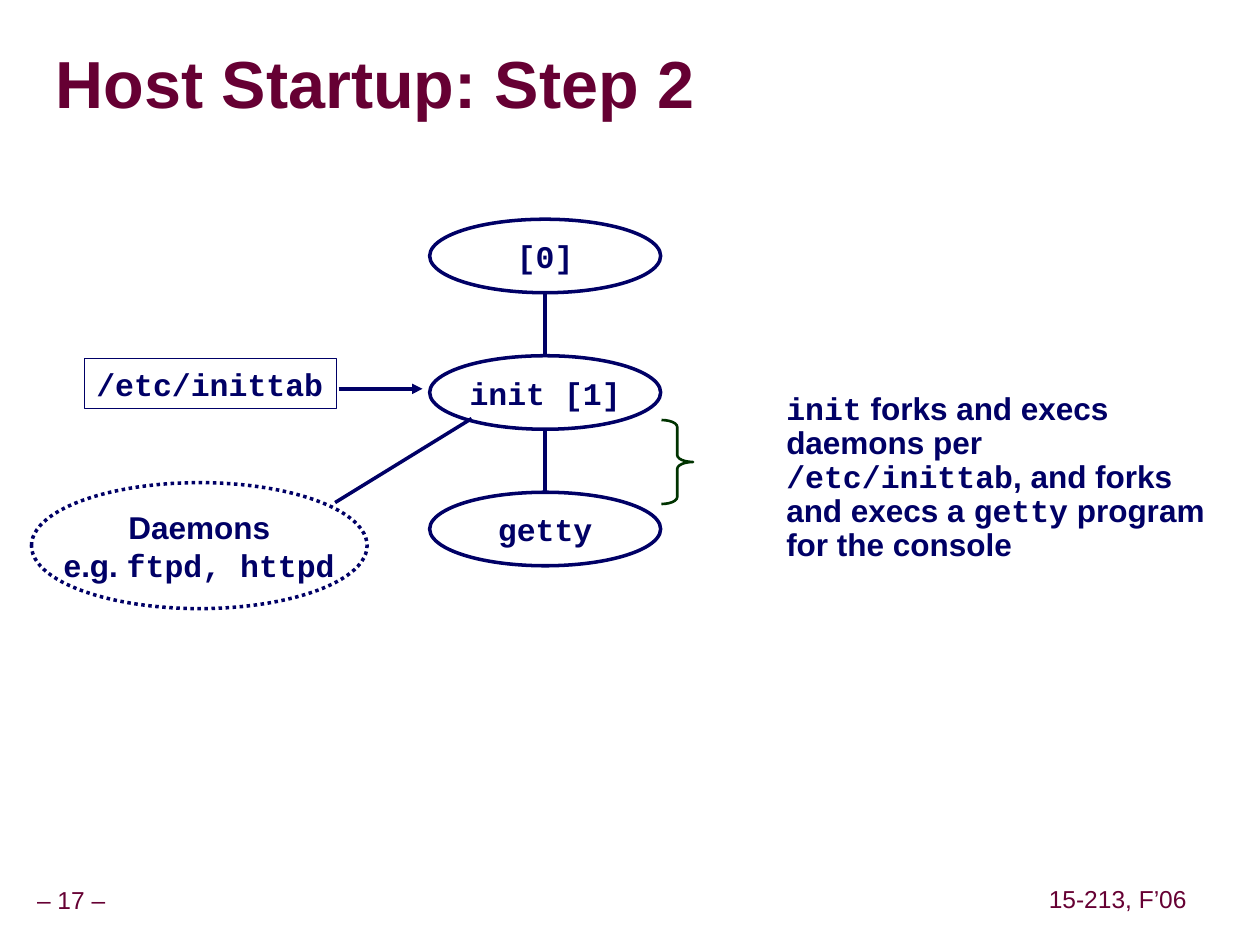
from pptx import Presentation
from pptx.dml.color import RGBColor
from pptx.enum.dml import MSO_LINE
from pptx.enum.shapes import MSO_CONNECTOR, MSO_SHAPE
from pptx.enum.text import MSO_ANCHOR, PP_ALIGN
from pptx.oxml import parse_xml
from pptx.oxml.ns import nsdecls
from pptx.util import Pt
from lxml.etree import SubElement

NAVY = RGBColor(0x00, 0x00, 0x66)
WINE = RGBColor(0x66, 0x00, 0x33)
GREEN = RGBColor(0x00, 0x33, 0x00)
WHITE = RGBColor(0xFF, 0xFF, 0xFF)
SANS, MONO = "Arial", "Courier New"
LEFT, MID = PP_ALIGN.LEFT, PP_ALIGN.CENTER

deck = Presentation()
deck.slide_width, deck.slide_height = Pt(720), Pt(540)
slide = deck.slides.add_slide(deck.slide_layouts[6])
shapes = slide.shapes


def write(shape, rows, size, color, bold, align, space, pad, wrap=False, anchor=MSO_ANCHOR.MIDDLE):
    frame = shape.text_frame
    frame.word_wrap = wrap
    frame.vertical_anchor = anchor
    frame.margin_left = frame.margin_right = Pt(pad)
    frame.margin_top = frame.margin_bottom = Pt(min(pad, 3.6))
    frame.text = "\n".join([""] * len(rows))
    for para, row in zip(frame.paragraphs, rows):
        para.alignment = align
        para.line_spacing = space
        for text, face in row:
            run = para.add_run()
            run.text = text
            font = run.font
            font.name, font.size, font.bold = face, Pt(size), bold
            font.color.rgb = color


def draw(kind, left, top, width, height, color, weight, fill=None):
    shape = shapes.add_shape(kind, Pt(left), Pt(top), Pt(width), Pt(height))
    shape.shadow.inherit = False
    if fill is None:
        shape.fill.background()
    else:
        shape.fill.solid()
        shape.fill.fore_color.rgb = fill
    shape.line.color.rgb = color
    shape.line.width = Pt(weight)
    return shape


for text, left, top, width in [("– 17 –", 0, 504, 81.4), ("15-213, F’06", 595.5, 503.5, 86.5)]:
    foot = shapes.add_textbox(Pt(left), Pt(top), Pt(width), Pt(22.3))
    write(foot, [[(text, SANS)]], 14, WINE, False, MID, 0.9, 3.6)

title = shapes.add_textbox(Pt(31.7), Pt(19.4), Pt(686), Pt(61.2))
write(title, [[("Host Startup: Step 2", SANS)]], 38, WINE, True, LEFT, 0.87, 0, True)
props = title.text_frame.paragraphs[0].runs[0].font.fill
props.solid()
props.fore_color.rgb = WINE
glow = parse_xml(
    f'<a:effectLst {nsdecls("a")}><a:outerShdw dist="38100" dir="2700000">'
    '<a:srgbClr val="808080"/></a:outerShdw></a:effectLst>')
title.text_frame.paragraphs[0].runs[0].font._element.find(
    "{*}solidFill").addnext(glow)

for row, name in enumerate(["[0]", "init [1]", "getty"]):
    node = draw(MSO_SHAPE.OVAL, 245.5, 125.3 + 78 * row, 132, 42, NAVY, 2, WHITE)
    write(node, [[(name, MONO)]], 18, NAVY, True, MID, 1, 7.2)

links = [
    (311.5, 167.3, 311.5, 203.3, False),
    (311.5, 245.3, 311.5, 281.3, False),
    (269.5, 239.2, 191.5, 287.2, False),
    (193.5, 222.2, 241.5, 222.2, True),
]
for left, top, right, low, arrow in links:
    link = shapes.add_connector(MSO_CONNECTOR.STRAIGHT, Pt(left), Pt(top), Pt(right), Pt(low))
    link.line.color.rgb = NAVY
    link.line.width = Pt(2)
    if arrow:
        link.line._get_or_add_ln().append(
            parse_xml(f'<a:tailEnd {nsdecls("a")} type="triangle"/>'))
    SubElement(link._element.spPr, "{http://schemas.openxmlformats.org/drawingml/2006/main}effectLst")

daemon = draw(MSO_SHAPE.OVAL, 18, 275.8, 191.8, 72, NAVY, 2, WHITE)
daemon.line.dash_style = MSO_LINE.ROUND_DOT
write(daemon, [[("Daemons", SANS)], [("e.g. ", SANS), ("ftpd, httpd", MONO)]],
      18, NAVY, True, MID, 1, 7.2)

table = draw(MSO_SHAPE.RECTANGLE, 48, 204.8, 144, 28.6, NAVY, 0.25)
write(table, [[("/etc/inittab", MONO)]], 18, NAVY, True, LEFT, 1, 7.2, anchor=MSO_ANCHOR.TOP)

note = shapes.add_textbox(Pt(445.7), Pt(221.2), Pt(250), Pt(85))
write(note, [[("init", MONO), (" forks and execs daemons per ", SANS), ("/etc/inittab", MONO),
              (", and forks and execs a ", SANS), ("getty", MONO),
              (" program for the console", SANS)]],
      18, NAVY, True, LEFT, 0.9, 3.6, True, MSO_ANCHOR.TOP)

brace = draw(MSO_SHAPE.RIGHT_BRACE, 378, 240, 18, 48, GREEN, 1.5)
brace.adjustments[0] = 0.22

deck.save("out.pptx")
